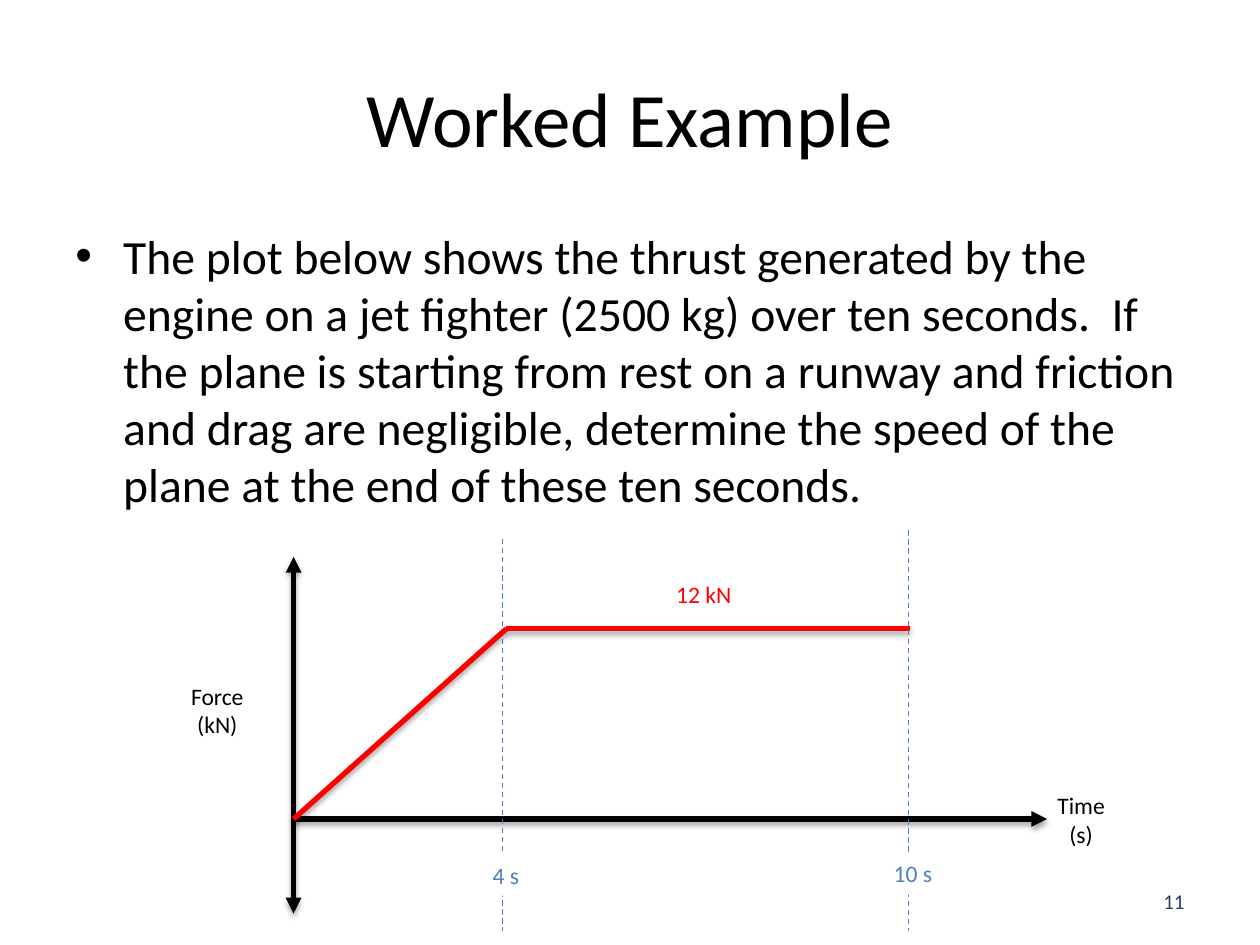
from pptx import Presentation
from pptx.dml.color import RGBColor
from pptx.enum.dml import MSO_LINE
from pptx.enum.shapes import MSO_CONNECTOR
from pptx.enum.text import MSO_ANCHOR, PP_ALIGN
from pptx.oxml import parse_xml
from pptx.oxml.ns import nsdecls
from pptx.util import Inches, Pt

BLACK = RGBColor(0x00, 0x00, 0x00)
WHITE = RGBColor(0xFF, 0xFF, 0xFF)
RED = RGBColor(0xFF, 0x00, 0x00)
BLUE = RGBColor(0x4F, 0x81, 0xBD)
NAVY = RGBColor(0x25, 0x40, 0x61)
SHADOW = ('<a:outerShdw blurRad="40000" dist="23000" dir="5400000" rotWithShape="0">'
          '<a:srgbClr val="000000"><a:alpha val="35000"/></a:srgbClr></a:outerShdw>')

prs = Presentation()
prs.slide_width, prs.slide_height = Inches(10), Inches(7.5)
slide = prs.slides.add_slide(prs.slide_layouts[5])


def add_text(box, lines, size, color, align, wrap=False):
    frame = box.text_frame
    frame.word_wrap = wrap
    for i, line in enumerate(lines):
        para = frame.paragraphs[0] if i == 0 else frame.add_paragraph()
        para.alignment = align
        run = para.add_run()
        run.text = line
        run.font.name, run.font.size = "Calibri", Pt(size)
        run.font.color.rgb = color
    return frame


def add_line(start, end, color, width=3, heads=(), shadow=SHADOW):
    line = slide.shapes.add_connector(
        MSO_CONNECTOR.STRAIGHT, *[Inches(v) for v in start + end])
    line.line.color.rgb, line.line.width = color, Pt(width)
    for head in heads:
        line.line._get_or_add_ln().append(
            parse_xml(f'<a:{head} {nsdecls("a")} type="triangle"/>'))
    line._element.spPr.append(
        parse_xml(f'<a:effectLst {nsdecls("a")}>{shadow}</a:effectLst>'))
    return line


# Title
title = slide.shapes.title
title.left, title.top = Inches(0.5), Inches(0.3)
title.width, title.height = Inches(9), Inches(1.25)
frame = add_text(title, ["Worked Example"], 44, BLACK, PP_ALIGN.CENTER, True)
frame.vertical_anchor = MSO_ANCHOR.MIDDLE

# Problem statement
body = slide.shapes.add_textbox(Inches(0.5), Inches(1.75), Inches(9), Inches(2.5))
frame = add_text(body, [
    "The plot below shows the thrust generated by the engine on a jet fighter "
    "(2500 kg) over ten seconds.  If the plane is starting from rest on a runway "
    "and friction and drag are negligible, determine the speed of the plane at "
    "the end of these ten seconds."], 27.2, BLACK, PP_ALIGN.LEFT, True)
props = frame.paragraphs[0]._p.get_or_add_pPr()
props.set("marL", str(Inches(0.38)))
props.set("indent", str(-Inches(0.38)))
for tag in ('buFont {} typeface="Arial"', 'buChar {} char="•"'):
    props.append(parse_xml(f'<a:{tag.format(nsdecls("a"))}/>'))

# Slide number
num = slide.shapes.add_textbox(Inches(7.17), Inches(6.95), Inches(2.33), Inches(0.4))
frame = add_text(num, ["11"], 12, NAVY, PP_ALIGN.RIGHT, True)
frame.vertical_anchor = MSO_ANCHOR.MIDDLE

# Axes
zero, knee, end = (2.33, 6.5), (4.02, 4.99), (7.22, 4.99)
add_line((2.33, 4.42), (2.33, 7.25), BLACK, heads=("headEnd", "tailEnd"))
add_line(zero, (8.31, 6.5), BLACK, heads=("tailEnd",))

# Constant thrust, then time markers
add_line(end, knee, RED)
for x, top in ((3.99, 4.28), (7.21, 4.21)):
    mark = add_line((x, top), (x, 7.39), BLUE, 0.75, shadow="")
    mark.line.dash_style = MSO_LINE.DASH

# Labels: left, top, width, height, lines, colour, fill
labels = [
    (1.41, 5.36, 0.63, 0.56, ["Force", "(kN)"], BLACK, None),
    (8.29, 6.23, 0.58, 0.56, ["Time", "(s)"], BLACK, None),
    (5.26, 4.55, 0.65, 0.33, ["12 kN"], RED, None),
    (3.81, 6.78, 0.41, 0.33, ["4 s"], BLUE, WHITE),
    (6.99, 6.77, 0.51, 0.33, ["10 s"], BLUE, WHITE),
]
for *place, lines, color, fill in labels:
    box = slide.shapes.add_textbox(*[Inches(v) for v in place])
    if fill is not None:
        box.fill.solid()
        box.fill.fore_color.rgb = fill
    add_text(box, lines, 13.5, color, PP_ALIGN.CENTER)

# Rising thrust
add_line(knee, zero, RED)

prs.save("out.pptx")
